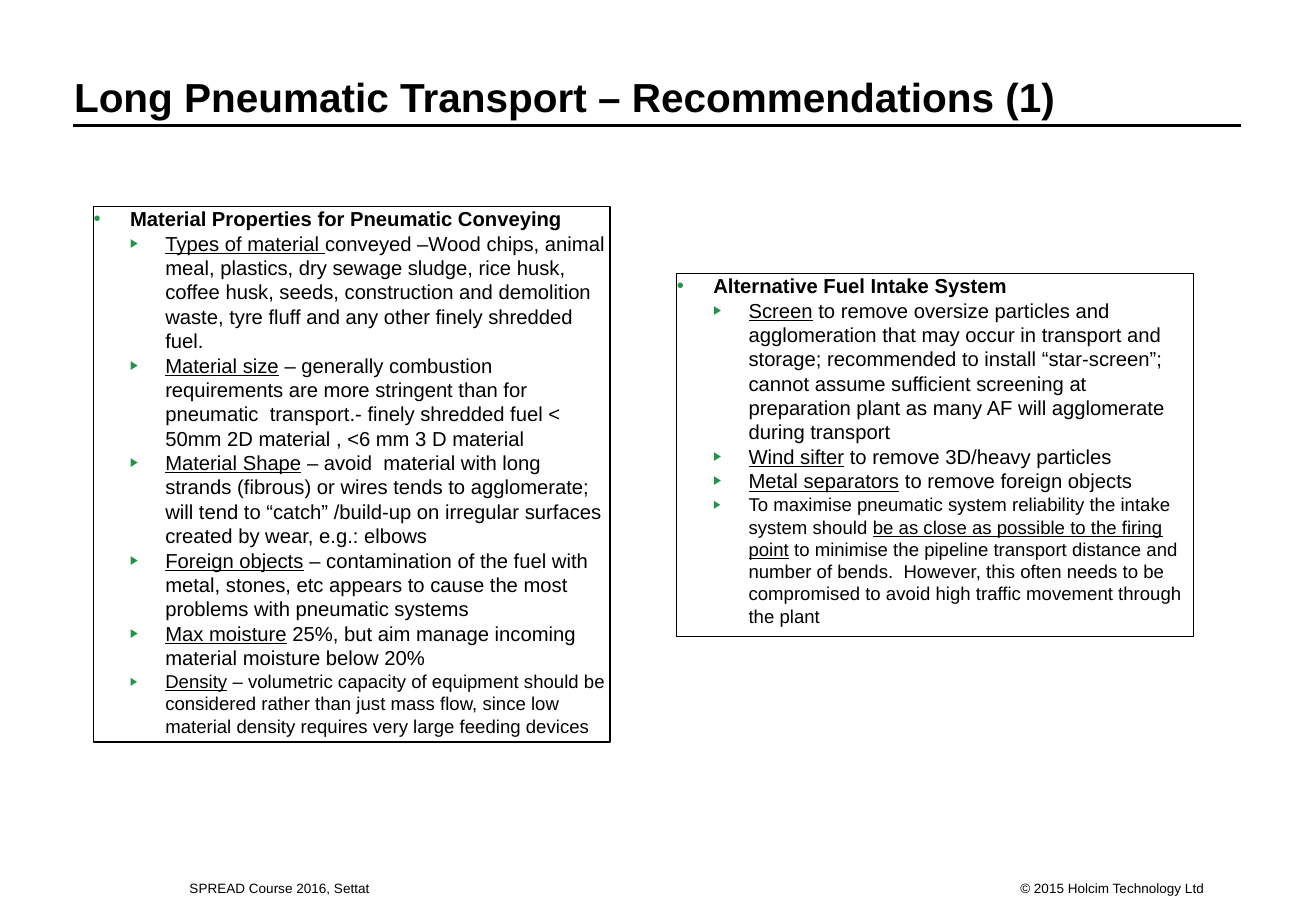
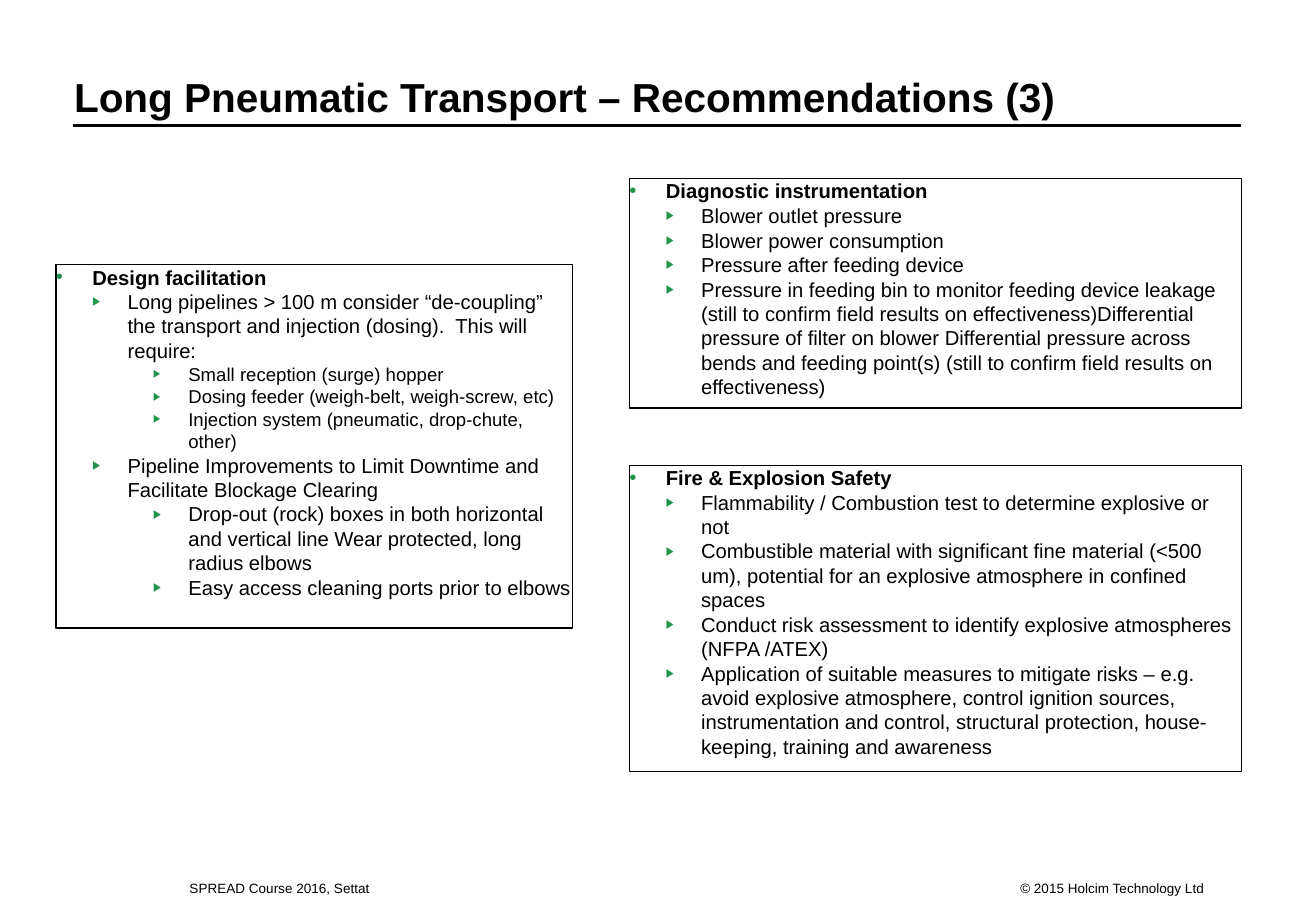
from dataclasses import dataclass

from lxml import etree
from pptx import Presentation
from pptx import util as u
from pptx.dml.color import RGBColor
from pptx.enum import shapes, text
from pptx.oxml.ns import qn


@dataclass(frozen=True)
class Theme:
    font: str = "Arial"
    ink: RGBColor = RGBColor(0x00, 0x00, 0x00)
    accent: str = "22934B"
    title: int = 24
    body: int = 12
    small: int = 11
    footer: int = 8
    rule: float = 1.75
    outline: float = 0.75
    item_gap: float = 0.2
    # per level: left margin, hanging indent, bullet, bullet size in percent
    levels: tuple = (
        (0.3, 0.3, "•", 100),
        (0.59, 0.29, "▶", 60),
        (1.09, 0.29, "▶", 60),
    )


THEME = Theme()


class SlideBuilder:
    def __init__(self, theme):
        self.theme = theme
        self.deck = Presentation()
        self.deck.slide_width = u.Inches(10.83)
        self.deck.slide_height = u.Inches(7.5)
        self.page = None

    def add_page(self, title):
        """Start a slide with the title, rule and footers that all slides share."""
        self.page = self.deck.slides.add_slide(self.deck.slide_layouts[6])
        self.label(title, (0.61, 0.13, 9.6, 0.86), self.theme.title, bold=True)
        self.rule(0.6, 10.21, 1.03)
        self.label("SPREAD Course 2016, Settat", (1.56, 7.25, 3.86, 0.13), self.theme.footer)
        self.label("© 2015 Holcim Technology Ltd", (8, 7.25, 1.91, 0.13), self.theme.footer,
                   align=text.PP_ALIGN.RIGHT)

    def label(self, words, area, size, bold=False, align=text.PP_ALIGN.LEFT):
        box = self.page.shapes.add_textbox(*map(u.Inches, area))
        self.set_frame(box.text_frame, text.MSO_ANCHOR.BOTTOM)
        para = box.text_frame.paragraphs[0]
        para.text = words
        para.alignment = align
        self.style(para.runs[0].font, size, bold)

    def rule(self, left, right, top):
        line = self.page.shapes.add_connector(
            shapes.MSO_CONNECTOR.STRAIGHT,
            u.Inches(left), u.Inches(top), u.Inches(right), u.Inches(top))
        line.line.color.rgb = self.theme.ink
        line.line.width = u.Pt(self.theme.rule)
        etree.SubElement(line._element.spPr, qn("a:effectLst"))

    def panel(self, area, heading, items):
        """Draw an outlined box; items are (level, words) or (level, words, size)."""
        box = self.page.shapes.add_shape(shapes.MSO_SHAPE.RECTANGLE, *map(u.Inches, area))
        box.shadow.inherit = False
        box.fill.background()
        box.line.color.rgb = self.theme.ink
        box.line.width = u.Pt(self.theme.outline)
        frame = box.text_frame
        self.set_frame(frame, text.MSO_ANCHOR.TOP)
        self.item(frame.paragraphs[0], 0, heading, bold=True)
        for entry in items:
            para = frame.add_paragraph()
            para.space_before = u.Pt(self.theme.item_gap)
            self.item(para, *entry)

    def item(self, para, level, words, size=None, bold=False):
        """Fill a bulleted paragraph; words between underscores are underlined."""
        para.level = level
        para.alignment = text.PP_ALIGN.LEFT
        self.bullet(para, level)
        for index, part in enumerate(words.split("_")):
            if part:
                span = para.add_run()
                span.text = part
                self.style(span.font, size or self.theme.body, bold)
                span.font.underline = index % 2 == 1

    def bullet(self, para, level):
        margin, hanging, mark, percent = self.theme.levels[level]
        props = para._p.get_or_add_pPr()
        props.set("marL", str(u.Inches(margin)))
        props.set("indent", str(-u.Inches(hanging)))
        color = etree.SubElement(props, qn("a:buClr"))
        etree.SubElement(color, qn("a:srgbClr"), val=self.theme.accent)
        etree.SubElement(props, qn("a:buSzPct"), val=str(percent * 1000))
        etree.SubElement(props, qn("a:buFont"), typeface=self.theme.font)
        etree.SubElement(props, qn("a:buChar"), char=mark)

    def set_frame(self, frame, anchor):
        frame.word_wrap = True
        frame.vertical_anchor = anchor
        frame.margin_left = frame.margin_right = frame.margin_top = frame.margin_bottom = 0

    def style(self, font, size, bold):
        font.name = self.theme.font
        font.size = u.Pt(size)
        font.bold = bold
        font.color.rgb = self.theme.ink


def add_material_and_intake(builder):
    small = builder.theme.small
    builder.add_page("Long Pneumatic Transport – Recommendations (1)")
    builder.panel((0.77, 1.7, 4.25, 4.41), "Material Properties for Pneumatic Conveying", [
        (1, "_Types of material _conveyed –Wood chips, animal meal, plastics, dry sewage "
            "sludge, rice husk, coffee husk, seeds, construction and demolition waste, "
            "tyre fluff and any other finely shredded fuel."),
        (1, "_Material size_ – generally combustion requirements are more stringent than for "
            "pneumatic  transport.- finely shredded fuel < 50mm 2D material , "
            "<6 mm 3 D material"),
        (1, "_Material Shape_ – avoid  material with long strands (fibrous) or wires tends to "
            "agglomerate; will tend to “catch” /build-up on irregular surfaces created by "
            "wear, e.g.: elbows"),
        (1, "_Foreign objects_ – contamination of the fuel with metal, stones, etc appears to "
            "cause the most problems with pneumatic systems"),
        (1, "_Max moisture_ 25%, but aim manage incoming material moisture below 20%"),
        (1, "_Density_ – volumetric capacity of equipment should be considered rather than "
            "just mass flow, since low material density requires very large feeding devices",
         small),
    ])
    builder.panel((5.57, 2.25, 4.25, 2.99), "Alternative Fuel Intake System", [
        (1, "_Screen_ to remove oversize particles and agglomeration that may occur in "
            "transport and storage; recommended to install “star-screen”; cannot assume "
            "sufficient screening at preparation plant as many AF will agglomerate during "
            "transport"),
        (1, "_Wind sifter_ to remove 3D/heavy particles"),
        (1, "_Metal separators_ to remove foreign objects"),
        (1, "To maximise pneumatic system reliability the intake system should _be as close "
            "as possible to the firing point_ to minimise the pipeline transport distance and "
            "number of bends.  However, this often needs to be compromised to avoid high "
            "traffic movement through the plant", small),
    ])


def add_design_and_safety(builder):
    small = builder.theme.small
    builder.add_page("Long Pneumatic Transport – Recommendations (3)")
    builder.panel((0.46, 2.18, 4.25, 2.99), "Design facilitation", [
        (1, "Long pipelines > 100 m consider “de-coupling” the transport and injection "
            "(dosing).  This will require:"),
        (2, "Small reception (surge) hopper", small),
        (2, "Dosing feeder (weigh-belt, weigh-screw, etc)", small),
        (2, "Injection system (pneumatic, drop-chute, other)", small),
        (1, "Pipeline Improvements to Limit Downtime and Facilitate Blockage Clearing"),
        (2, "Drop-out (rock) boxes in both horizontal and vertical line Wear protected, "
            "long radius elbows"),
        (2, "Easy access cleaning ports prior to elbows"),
    ])
    builder.panel((5.18, 1.47, 5.04, 1.89), "Diagnostic instrumentation", [
        (1, "Blower outlet pressure"),
        (1, "Blower power consumption"),
        (1, "Pressure after feeding device"),
        (1, "Pressure in feeding bin to monitor feeding device leakage (still to confirm field "
            "results on effectiveness)Differential pressure of filter on blower Differential "
            "pressure across bends and feeding point(s) (still to confirm field results on "
            "effectiveness)"),
    ])
    builder.panel((5.18, 3.83, 5.04, 2.52), "Fire & Explosion Safety", [
        (1, "Flammability / Combustion test to determine explosive or not"),
        (1, "Combustible material with significant fine material (<500 um), potential for an "
            "explosive atmosphere in confined spaces"),
        (1, "Conduct risk assessment to identify explosive atmospheres (NFPA /ATEX)"),
        (1, "Application of suitable measures to mitigate risks – e.g. avoid explosive "
            "atmosphere, control ignition sources, instrumentation and control, structural "
            "protection, house-keeping, training and awareness"),
    ])


def main():
    builder = SlideBuilder(THEME)
    add_material_and_intake(builder)
    add_design_and_safety(builder)
    builder.deck.save("out.pptx")


if __name__ == "__main__":
    main()
